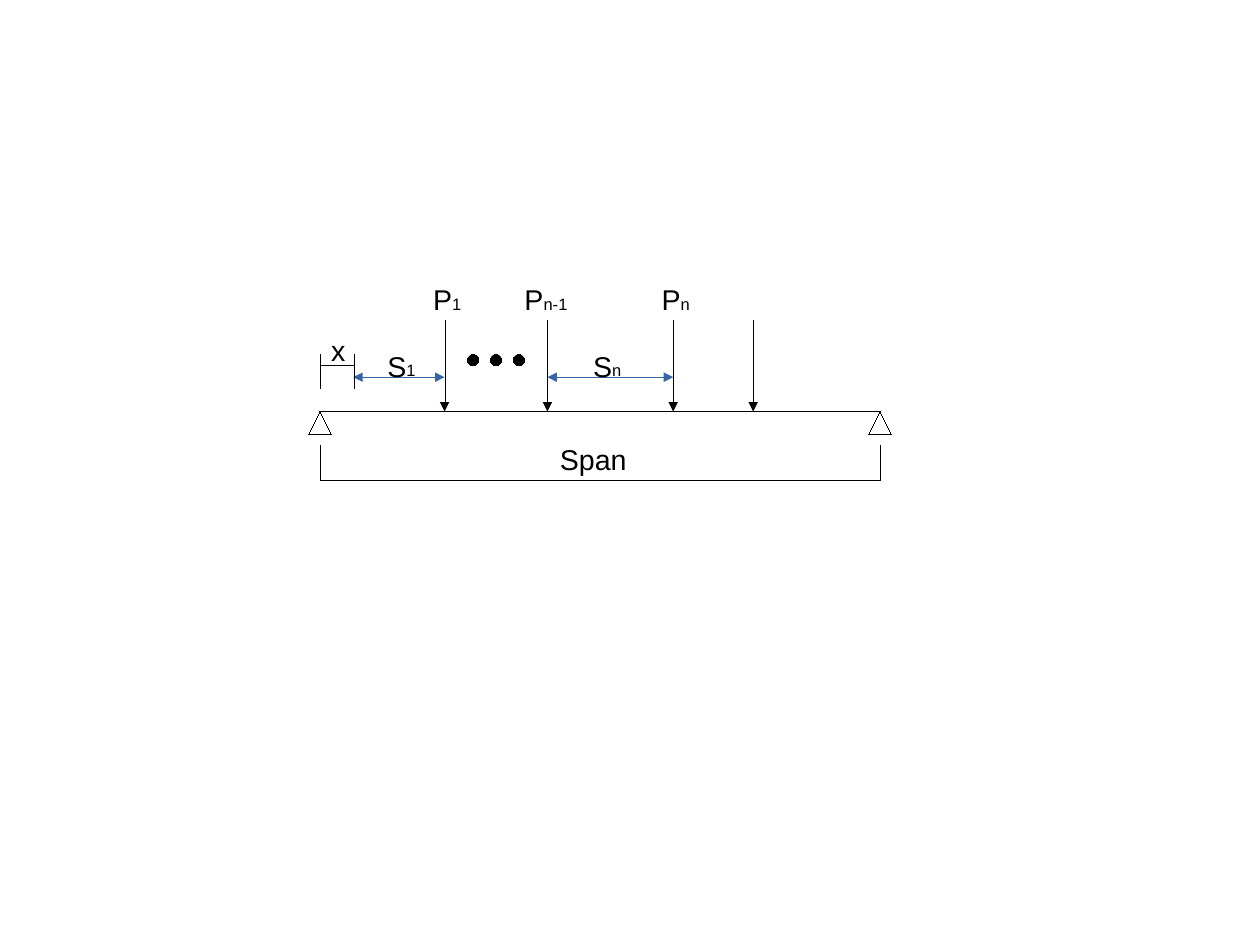
from lxml import etree
from pptx import Presentation
from pptx.dml.color import RGBColor
from pptx.enum.shapes import MSO_CONNECTOR, MSO_SHAPE
from pptx.enum.text import MSO_AUTO_SIZE
from pptx.oxml.ns import qn
from pptx.util import Pt

STRAIGHT = MSO_CONNECTOR.STRAIGHT
OVAL, TRIANGLE = MSO_SHAPE.OVAL, MSO_SHAPE.ISOSCELES_TRIANGLE
FIT_TEXT = MSO_AUTO_SIZE.SHAPE_TO_FIT_TEXT

# Content, lengths in points
SLIDE_W, SLIDE_H = 793.7, 595.28
COLORS = {"ink": "000000", "spacing": "3465A4", "paper": "FFFFFF"}
FONT, SIZE = "Arial", 18
LABEL_H = 27.36
BEAM_LEFT, BEAM_RIGHT, BEAM_Y = 201.6, 554.4, 259.2
LOADS = [280.08, 344.88, 424.08, 474.48]
LOAD_TOP = 201.6
OFFSET_X = 223.2
SPACING_Y = 237.6
SPACINGS = [(222.48, LOADS[0]), (LOADS[1], LOADS[2])]
DOT_LEFT, DOT_TOP, DOT_SIZE, DOT_STEP = 294.48, 223.2, 7.2, 14.4
SUPPORT = 14.4
SPAN_TOP, SPAN_Y = 280.8, 302.4
OFFSET_TOP, OFFSET_Y, OFFSET_BOTTOM = 223.2, 230.4, 244.8
# symbol, index, left, top, width
LABELS = [
    ("P", "1", 265.68, 174, 32.4),
    ("P", "n-1", 323.28, 174, 51.84),
    ("P", "n", 409.68, 174, 51.84),
    ("S", "1", 236.88, 216, 32.4),
    ("S", "n", 366.48, 216, 51.84),
    ("Span", "", 345.6, 274.8, 57),
    ("x", "", 201.6, 206.4, 31.68),
]

prs = Presentation()
prs.slide_width, prs.slide_height = Pt(SLIDE_W), Pt(SLIDE_H)
slide = prs.slides.add_slide(prs.slide_layouts[6])
shapes = slide.shapes


def color(key):
    return RGBColor.from_string(COLORS[key])


def set_hairline(part, ink):
    part.line.color.rgb = color(ink)
    outline = part.line._get_or_add_ln()
    outline.set("w", "0")
    return outline


def add_line(x1, y1, x2, y2, ink="ink", arrows=()):
    line = shapes.add_connector(STRAIGHT, Pt(x1), Pt(y1), Pt(x2), Pt(y2))
    outline = set_hairline(line, ink)
    for end in arrows:
        etree.SubElement(outline, qn(f"a:{end}"), type="triangle")
    etree.SubElement(line._element.spPr, qn("a:effectLst"))


def add_mark(kind, left, top, size, fill):
    mark = shapes.add_shape(kind, Pt(left), Pt(top), Pt(size), Pt(size))
    mark.shadow.inherit = False
    mark.fill.solid()
    mark.fill.fore_color.rgb = color(fill)
    set_hairline(mark, "ink")


def add_label(symbol, index, left, top, width):
    frame = shapes.add_textbox(Pt(left), Pt(top), Pt(width), Pt(LABEL_H)).text_frame
    frame.word_wrap = False
    frame.auto_size = FIT_TEXT
    paragraph = frame.paragraphs[0]
    paragraph.font.name, paragraph.font.size = FONT, Pt(SIZE)
    paragraph.font.color.rgb = color("ink")
    paragraph.add_run().text = symbol
    if index:
        run = paragraph.add_run()
        run.text = index
        run._r.get_or_add_rPr().set("baseline", "1000")


# Beam and loads
add_line(BEAM_LEFT, BEAM_Y, BEAM_RIGHT, BEAM_Y)
for x in LOADS:
    add_line(x, LOAD_TOP, x, BEAM_Y, arrows=["tailEnd"])

# Spacings between loads
for start, end in SPACINGS:
    add_line(start, SPACING_Y, end, SPACING_Y, "spacing", ["headEnd", "tailEnd"])

# Ellipsis dots
for i in range(3):
    add_mark(OVAL, DOT_LEFT + i * DOT_STEP, DOT_TOP, DOT_SIZE, "ink")

# Supports and span bracket
for x in (BEAM_LEFT, BEAM_RIGHT):
    add_mark(TRIANGLE, x - SUPPORT / 2, BEAM_Y, SUPPORT, "paper")
    add_line(x, SPAN_TOP, x, SPAN_Y)
add_line(BEAM_LEFT, SPAN_Y, BEAM_RIGHT, SPAN_Y)

# Offset x from the left support
for x in (BEAM_LEFT, OFFSET_X):
    add_line(x, OFFSET_TOP, x, OFFSET_BOTTOM)
add_line(BEAM_LEFT, OFFSET_Y, OFFSET_X, OFFSET_Y)

# Labels
for label in LABELS:
    add_label(*label)

prs.save("out.pptx")
